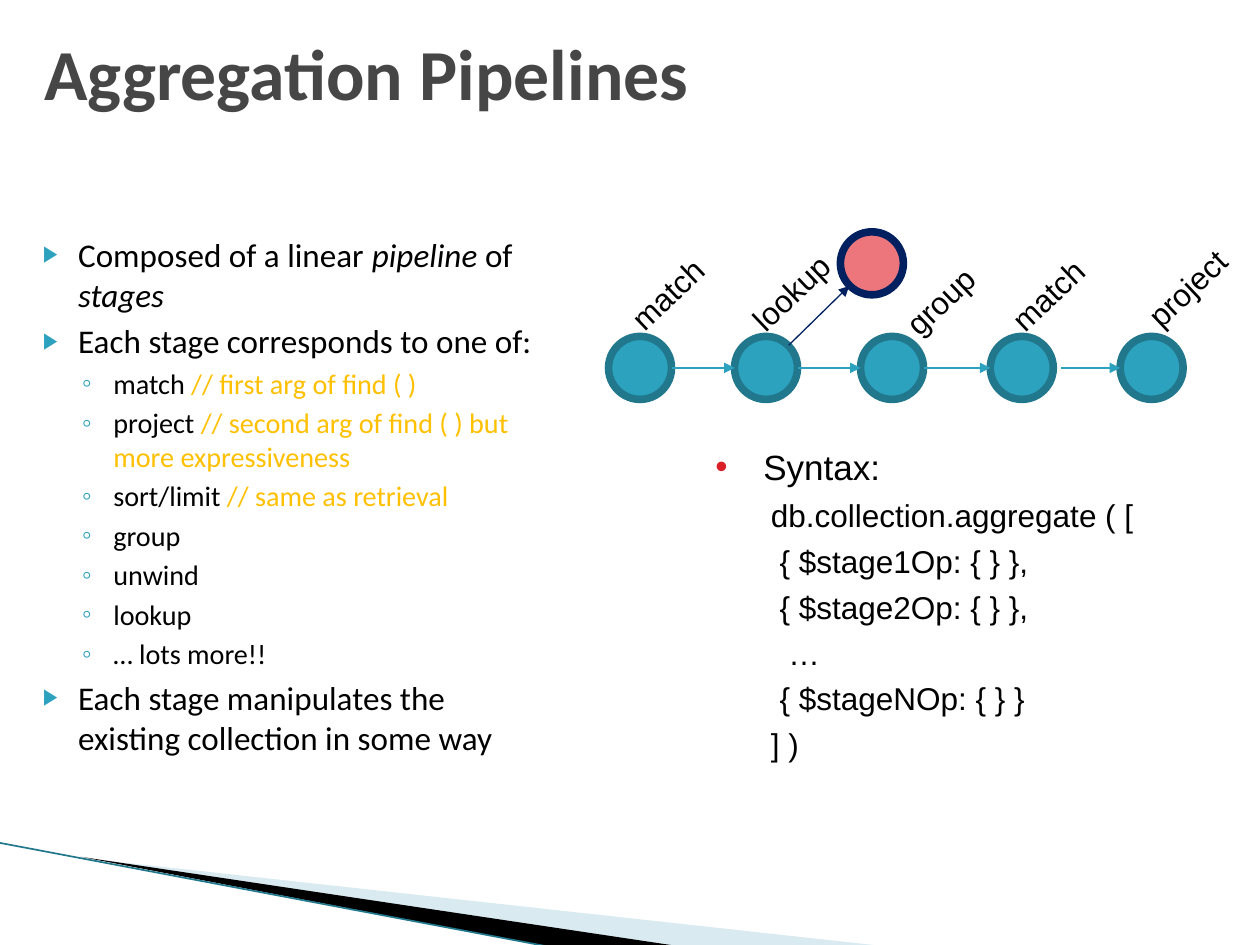
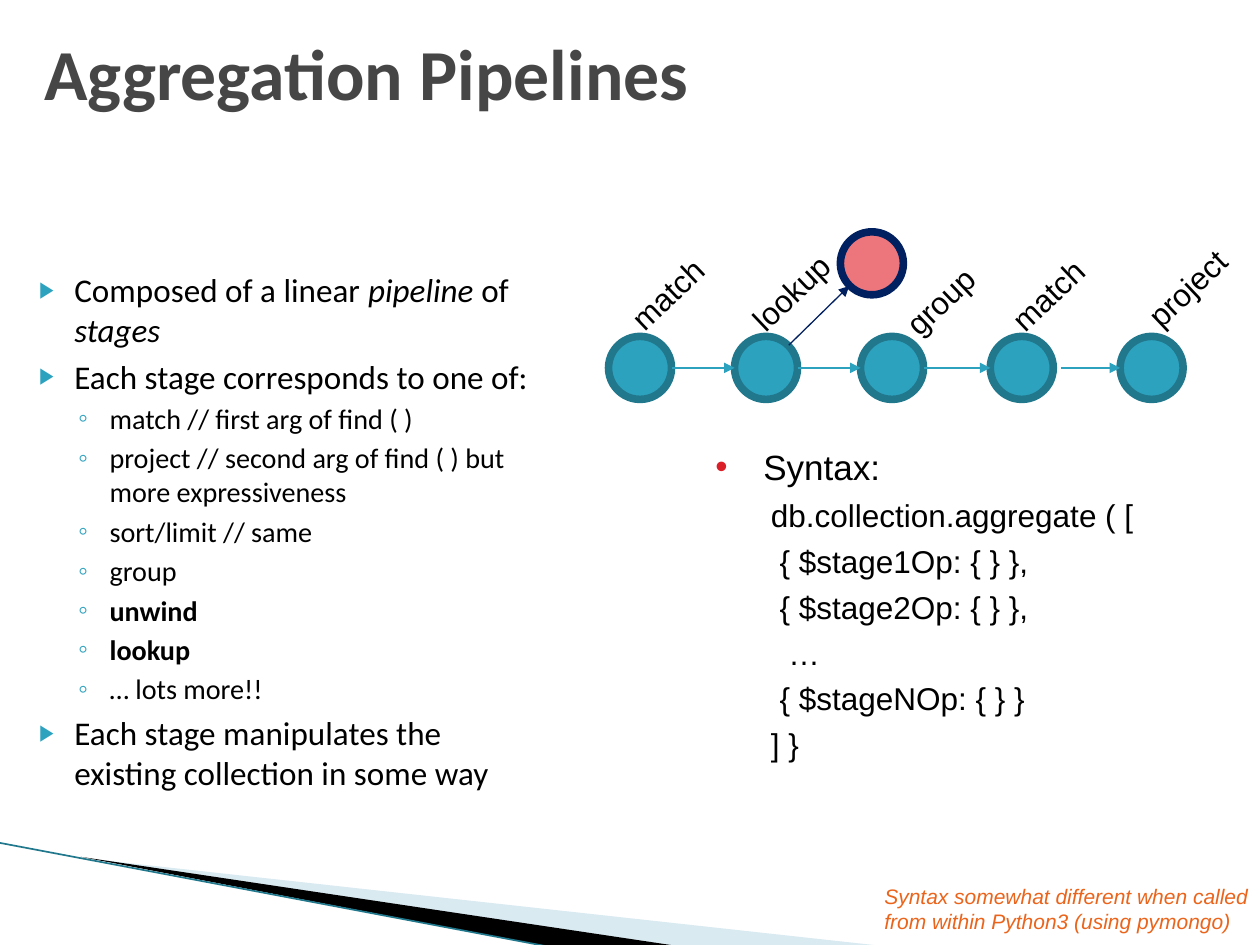
from lxml import etree
from pptx import Presentation
from pptx.dml.color import RGBColor
from pptx.enum.shapes import MSO_CONNECTOR as Connector, MSO_SHAPE as Shape
from pptx.enum.text import MSO_ANCHOR as Anchor, MSO_AUTO_SIZE as AutoSize, PP_ALIGN as Align
from pptx.oxml.ns import qn
from pptx.util import Inches, Pt

COLORS = {
    "title": "464646",
    "text": "000000",
    "teal": "2DA2BF",
    "dark_teal": "21788D",
    "pale_teal": "A0CBDC",
    "navy": "002060",
    "pink": "EC767C",
    "red": "DA1F28",
    "amber": "FFC000",
    "orange": "EB641B",
}

OUTLINE_LEVELS = [
    {"size": 18.9, "margin": 0.4, "indent": -0.28, "before": 4, "mark": "▶", "scale": 68},
    {"size": 16.1, "margin": 0.68, "indent": -0.25, "before": 3.2, "mark": "◦", "scale": 100},
]

STAGE_SIZE = 0.5
STAGE_TOP = 2.67
STAGES = [
    ("match", 4.83, 5.33, 4.84, 2.09),
    ("lookup", 5.83, 6.33, 5.8, 2.1),
    ("group", 6.83, 7.33, 7.02, 2.13),
    ("match", 7.86, 8.42, 7.86, 2.1),
    ("project", 8.89, None, 8.94, 2.07),
]

SYNTAX_LINES = [
    "db.collection.aggregate ( [",
    " { $stage1Op: { } },",
    " { $stage2Op: { } },",
    "  …",
    " { $stageNOp: { } }",
]


def color(name):
    return RGBColor.from_string(COLORS[name])


def add_element(parent, tag, **attributes):
    return etree.SubElement(parent, qn(tag), attributes)


def style_font(font, size, name="Arial", fill="text", bold=None, italic=None):
    font.name = name
    font.size = Pt(size)
    font.color.rgb = color(fill)
    font.bold = bold
    font.italic = italic


def place(shape, left, top, width, height):
    shape.left, shape.top = Inches(left), Inches(top)
    shape.width, shape.height = Inches(width), Inches(height)


def set_indent(para, margin, indent):
    properties = para._p.get_or_add_pPr()
    properties.set("marL", str(Inches(margin)))
    properties.set("indent", str(Inches(indent)))
    return properties


def set_bullet(para, mark, fill, margin, indent, scale=100):
    properties = set_indent(para, margin, indent)
    add_element(add_element(properties, "a:buClr"), "a:srgbClr", val=COLORS[fill])
    add_element(properties, "a:buSzPct", val=str(scale * 1000))
    add_element(properties, "a:buFont", typeface="Arial")
    add_element(properties, "a:buChar", char=mark)


def next_paragraph(frame, index):
    return frame.add_paragraph() if index else frame.paragraphs[0]


def add_text_box(page, left, top, width, height):
    box = page.shapes.add_textbox(Inches(left), Inches(top), Inches(width), Inches(height))
    box.text_frame.word_wrap = True
    return box


def add_line(page, start, end, fill, width=0.75, arrow=False):
    line = page.shapes.add_connector(Connector.STRAIGHT, *map(Inches, start + end))
    line.line.color.rgb = color(fill)
    line.line.width = Pt(width)
    if arrow:
        add_element(line.line._get_or_add_ln(), "a:tailEnd", type="triangle")
    add_element(line._element.spPr, "a:effectLst")


def add_wedge(page, points, fill, alpha=None):
    corners = [(Inches(x), Inches(y)) for x, y in points]
    builder = page.shapes.build_freeform(*corners[0])
    builder.add_line_segments(corners[1:], close=True)
    wedge = builder.convert_to_shape()
    wedge.shadow.inherit = False
    wedge.fill.solid()
    wedge.fill.fore_color.rgb = color(fill)
    wedge.line.fill.background()
    if alpha:
        shade = wedge._element.spPr.find(qn("a:solidFill")).find(qn("a:srgbClr"))
        add_element(shade, "a:alpha", val=str(alpha * 1000))


def add_corner_band(page):
    add_wedge(page, [(0.65, 6.81), (7.02, 7.51), (5.38, 7.51)], "pale_teal", alpha=40)
    add_wedge(page, [(0.64, 6.8), (5.39, 7.51), (4.39, 7.52)], "text")
    add_line(page, (0, 6.69), (4.39, 7.52), "dark_teal", 0.95)


def add_title(page, text):
    title = page.shapes.title
    place(title, 0.25, 0.17, 9.25, 0.8)
    frame = title.text_frame
    frame.auto_size = AutoSize.NONE
    frame.vertical_anchor = Anchor.MIDDLE
    para = frame.paragraphs[0]
    para.text = text
    para.alignment = Align.LEFT
    style_font(para.font, 41, "Calibri", "title", bold=True)


def add_outline(page, left, top, items):
    body = page.placeholders[1]
    place(body, left, top, 4.28, 4.09)
    frame = body.text_frame
    frame.auto_size = AutoSize.NONE
    for index, (level, spans) in enumerate(items):
        look = OUTLINE_LEVELS[level]
        para = next_paragraph(frame, index)
        para.level = level
        set_bullet(para, look["mark"], "teal", look["margin"], look["indent"], look["scale"])
        para.space_before = Pt(look["before"] if index else 0)
        style_font(para.font, look["size"], "Calibri")
        for text, style in spans:
            span = para.add_run()
            span.text = text
            span.font.bold = style.get("bold")
            span.font.italic = style.get("italic")
            if "fill" in style:
                span.font.color.rgb = color(style["fill"])


def outline_items(comment, sort_comment, emphasis):
    plain, italic = {}, {"italic": True}
    return [
        (0, [("Composed of a linear ", plain), ("pipeline ", italic),
             ("of ", plain), ("stages", italic)]),
        (0, [("Each stage corresponds to one of:", plain)]),
        (1, [("match ", plain), ("// first arg of find ( )", comment)]),
        (1, [("project ", plain),
             ("// second arg of find ( ) but more expressiveness", comment)]),
        (1, [("sort/limit ", plain), (sort_comment, comment)]),
        (1, [("group", plain)]),
        (1, [("unwind", emphasis)]),
        (1, [("lookup", emphasis)]),
        (1, [("… lots more!!", plain)]),
        (0, [("Each stage manipulates the existing collection in some way", plain)]),
    ]


def add_circle(page, left, top, fill, border):
    circle = page.shapes.add_shape(Shape.OVAL, 0, 0, 0, 0)
    place(circle, left, top, STAGE_SIZE, STAGE_SIZE)
    circle.shadow.inherit = False
    circle.fill.solid()
    circle.fill.fore_color.rgb = color(fill)
    circle.line.color.rgb = color(border)
    circle.line.width = Pt(4.33)


def add_stage_label(page, text, left, top):
    box = add_text_box(page, left, top, 1, 0.4)
    box.rotation = 316.5
    para = box.text_frame.paragraphs[0]
    para.text = text
    style_font(para.font, 18)


def add_pipeline(page):
    middle = STAGE_TOP + STAGE_SIZE / 2
    for name, left, arrow_start, label_left, label_top in STAGES:
        add_circle(page, left, STAGE_TOP, "teal", "dark_teal")
        add_stage_label(page, name, label_left, label_top)
    for stage, following in zip(STAGES, STAGES[1:]):
        add_line(page, (stage[2], middle), (following[1], middle), "teal", arrow=True)
    add_circle(page, 6.67, 1.84, "pink", "navy")
    add_line(page, (6.26, 2.74), (6.74, 2.27), "navy", arrow=True)


def add_syntax(page, closing):
    frame = add_text_box(page, 5.58, 3.49, 4.28, 4.01).text_frame
    for index, text in enumerate(["Syntax:", *SYNTAX_LINES, closing]):
        para = next_paragraph(frame, index)
        para.text = text
        if index:
            para.level = 1
            set_indent(para, 0.44, 0)
            para.space_before = Pt(4.6)
        else:
            set_bullet(para, "•", "red", 0.38, -0.38)
        style_font(para.font, 18 if index else 20)


def add_side_note(page, text):
    para = add_text_box(page, 6.92, 6.96, 3.22, 0.5).text_frame.paragraphs[0]
    para.text = text
    style_font(para.font, 12, fill="orange", italic=True)


def add_pipeline_page(deck, outline_at, items, closing):
    page = deck.slides.add_slide(deck.slide_layouts[1])
    add_corner_band(page)
    add_title(page, "Aggregation Pipelines")
    add_outline(page, *outline_at, items)
    add_pipeline(page)
    add_syntax(page, closing)
    return page


def main():
    deck = Presentation()
    deck.slide_width, deck.slide_height = Inches(10), Inches(7.5)
    add_pipeline_page(
        deck, (0.12, 1.81),
        outline_items({"fill": "amber"}, "// same as retrieval", {}), "] )")
    page = add_pipeline_page(
        deck, (0.09, 2.09),
        outline_items({}, "// same", {"bold": True}), "] }")
    add_side_note(
        page, "Syntax somewhat different when called from within Python3 (using pymongo)")
    deck.save("out.pptx")


if __name__ == "__main__":
    main()
